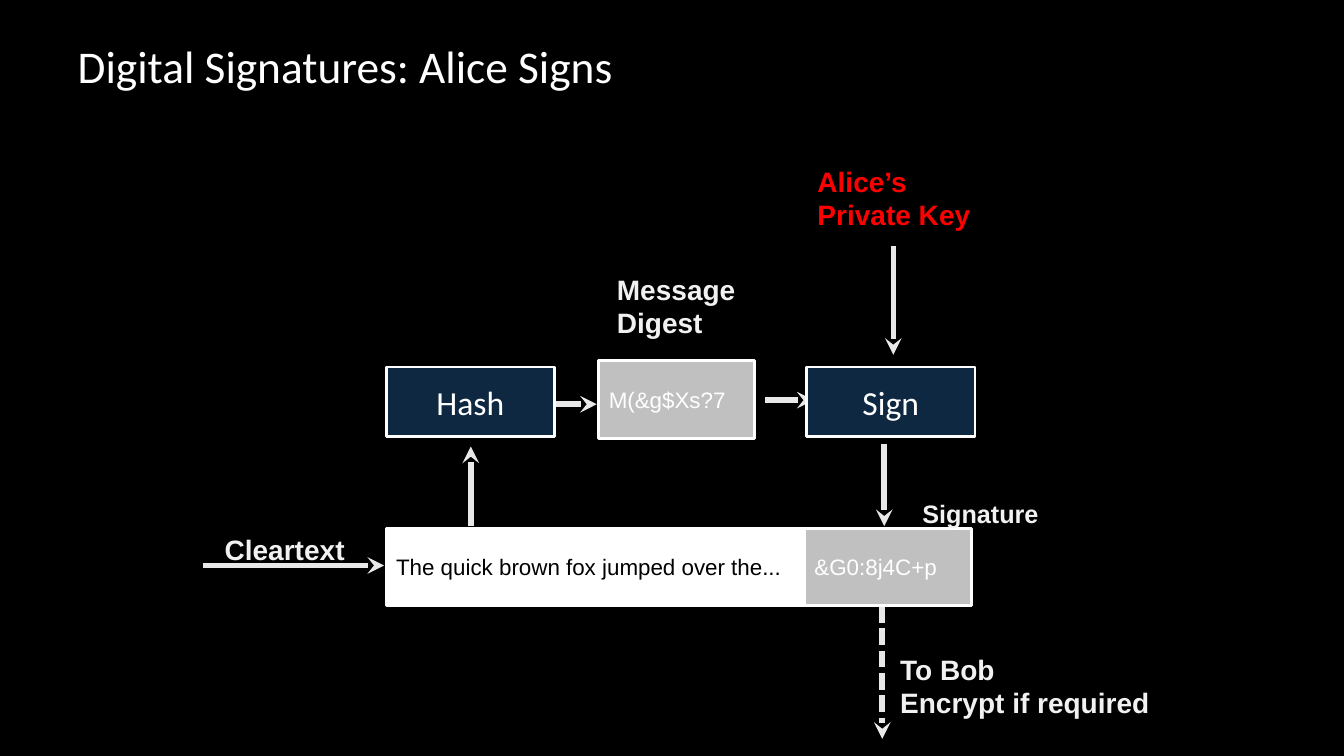
from dataclasses import dataclass
from typing import Any, Optional

import lxml.etree
import pptx
import pptx.dml.color
import pptx.enum.dml
import pptx.enum.shapes
import pptx.enum.text
import pptx.oxml.ns
import pptx.util

Inches = pptx.util.Inches
Pt = pptx.util.Pt
ALIGN = pptx.enum.text.PP_ALIGN
ANCHOR = pptx.enum.text.MSO_ANCHOR
WHITE, PALE, ARROW = "FFFFFF", "F1F1F1", "E8E8E8"
NAVY, GREY, RED, BLACK = "0E2841", "C0C0C0", "FF0000", "000000"


@dataclass
class Box:
    text: str
    left: float
    top: float
    width: float
    height: float
    fill: str
    color: str = WHITE
    font: str = "Arial"
    size: float = 16
    align: Any = ALIGN.LEFT


@dataclass
class Label:
    text: str
    left: float
    top: float
    width: float
    height: float = 0.77
    color: str = PALE
    size: float = 20


@dataclass
class Arrow:
    x1: float
    y1: float
    x2: float
    y2: float
    dash: Optional[Any] = None


ARROWS = [
    Arrow(2.01, 5.61, 3.81, 5.61),
    Arrow(4.67, 5.22, 4.67, 4.43),
    Arrow(5.46, 4.01, 5.92, 4.01),
    Arrow(8.86, 2.44, 8.86, 3.52),
    Arrow(7.59, 3.97, 8.07, 3.97),
    Arrow(8.77, 4.4, 8.77, 5.22),
    Arrow(8.75, 6.01, 8.75, 7.33, pptx.enum.dml.MSO_LINE.SQUARE_DOT),
]
STEP = {"font": "Calibri", "size": 24, "align": ALIGN.CENTER}
BOXES = [
    Box("The quick brown fox jumped over the...", 3.83, 5.24, 4.15, 0.77, WHITE, BLACK),
    Box("M(&g$Xs?7", 5.94, 3.58, 1.54, 0.77, GREY),
    Box("&G0:8j4C+p", 7.98, 5.24, 1.66, 0.77, GREY),
    Box("Hash", 3.83, 3.64, 1.67, 0.69, NAVY, **STEP),
    Box("Sign", 8, 3.64, 1.67, 0.69, NAVY, **STEP),
]
LABELS = [
    Label("Cleartext", 2.13, 5.23, 1.4, 0.44),
    Label("Message\vDigest", 6.02, 2.65, 1.39),
    Label("Alice’s\vPrivate Key", 8.01, 1.58, 1.73, color=RED),
    Label("Signature", 9.05, 4.89, 1.37, 0.4, size=18),
    Label("To Bob\nEncrypt if required", 8.83, 6.42, 2.83),
]


def paint(target: Any, color: str) -> None:
    if hasattr(target, "solid"):
        target.solid()
        target = target.fore_color
    target.rgb = pptx.dml.color.RGBColor.from_string(color)


def apply(obj: Any, values: dict) -> None:
    for name, value in values.items():
        setattr(obj, name, value)


def write(tf: Any, text: str, color: str, font: dict, frame: dict, align: Any = ALIGN.LEFT) -> None:
    margins = {"margin_left": Inches(0.1), "margin_right": Inches(0.1),
               "margin_top": Inches(0.05), "margin_bottom": Inches(0.05)}
    apply(tf, {**margins, **frame})
    tf.text = text
    for p in tf.paragraphs:
        p.alignment = align
        for r in p.runs:
            apply(r.font, font)
            paint(r.font.color, color)


def draw_arrow(shapes: Any, a: Arrow) -> None:
    cxn = shapes.add_connector(pptx.enum.shapes.MSO_CONNECTOR.STRAIGHT,
                               *map(Inches, (a.x1, a.y1, a.x2, a.y2)))
    apply(cxn.line, {"width": Pt(4), "dash_style": a.dash})
    paint(cxn.line.fill, ARROW)
    qn = pptx.oxml.ns.qn
    lxml.etree.SubElement(cxn.line._get_or_add_ln(), qn("a:tailEnd"), type="stealth")
    lxml.etree.SubElement(cxn._element.spPr, qn("a:effectLst"))


def draw_box(shapes: Any, b: Box) -> None:
    sp = shapes.add_shape(pptx.enum.shapes.MSO_SHAPE.RECTANGLE,
                          *map(Inches, (b.left, b.top, b.width, b.height)))
    sp.shadow.inherit = False
    paint(sp.fill, b.fill)
    paint(sp.line.fill, WHITE)
    sp.line.width = Pt(2)
    write(sp.text_frame, b.text, b.color, {"name": b.font, "size": Pt(b.size)},
          {"word_wrap": True, "vertical_anchor": ANCHOR.MIDDLE}, b.align)


def draw_label(shapes: Any, t: Label) -> None:
    sp = shapes.add_textbox(*map(Inches, (t.left, t.top, t.width, t.height)))
    write(sp.text_frame, t.text, t.color,
          {"name": "Arial", "size": Pt(t.size), "bold": True}, {"word_wrap": False})


def main() -> None:
    prs = pptx.Presentation()
    apply(prs, {"slide_width": Inches(13.33), "slide_height": Inches(7.5)})
    s = prs.slides.add_slide(prs.slide_layouts[5])
    paint(s.background.fill, BLACK)
    title = s.shapes.title
    apply(title, {"left": Inches(0.67), "top": Inches(0.3),
                  "width": Inches(12), "height": Inches(0.7)})
    write(title.text_frame, "Digital Signatures: Alice Signs", WHITE,
          {"name": "Calibri", "size": Pt(32.4)},
          {"word_wrap": True, "vertical_anchor": ANCHOR.MIDDLE})
    for a in ARROWS:
        draw_arrow(s.shapes, a)
    for b in BOXES:
        draw_box(s.shapes, b)
    for t in LABELS:
        draw_label(s.shapes, t)
    prs.save("out.pptx")


if __name__ == "__main__":
    main()
